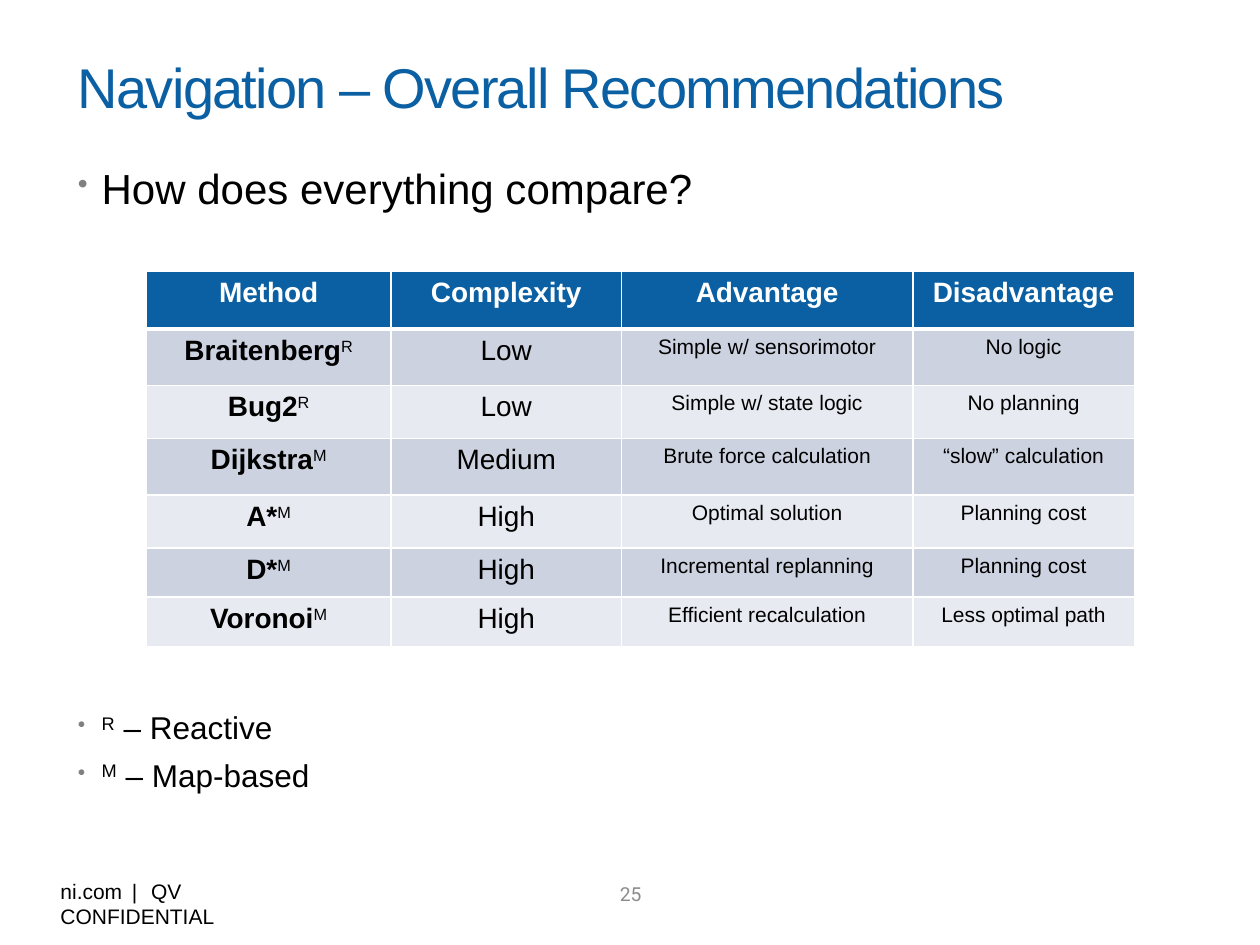
import pptx
import pptx.dml.color
import pptx.enum.text
import pptx.util
from pptx.oxml import parse_xml
from pptx.oxml.ns import nsdecls
from pptx.util import Cm

BLUE, BLACK, WHITE, GREY = "0A60A3", "000000", "FFFFFF", "8C8C8C"
BULLET_GREY = "808080"
BANDS = ("CCD2E0", "E7EAF0")
CENTER = pptx.enum.text.PP_ALIGN.CENTER
MIDDLE = pptx.enum.text.MSO_ANCHOR.MIDDLE


def color(hex_string):
    return pptx.dml.color.RGBColor.from_string(hex_string)


class SlideBuilder:
    font = "Arial"

    def __init__(self, slide):
        self.slide = slide

    def style(self, run, size, hex_color=BLACK, bold=False, font=None,
              spacing=None, raised=False):
        run.font.name = font or self.font
        run.font.size = pptx.util.Pt(size)
        run.font.bold = bold
        run.font.color.rgb = color(hex_color)
        properties = run.font._element
        if spacing:
            properties.set("spc", str(int(spacing * 100)))
        if raised:
            properties.set("baseline", "30000")

    def add_run(self, paragraph, text, size, **options):
        run = paragraph.add_run()
        run.text = text
        self.style(run, size, **options)

    def text_box(self, left, top, width, height, wrap=True, anchor=None):
        box = self.slide.shapes.add_textbox(Cm(left), Cm(top), Cm(width), Cm(height))
        frame = box.text_frame
        frame.word_wrap = wrap
        if anchor is not None:
            frame.vertical_anchor = anchor
        return frame

    def label(self, text, position, size, align=None, **options):
        frame = self.text_box(*position, anchor=MIDDLE)
        frame.text = text
        paragraph = frame.paragraphs[0]
        paragraph.alignment = align
        self.style(paragraph.runs[0], size, **options)

    def bullets(self, items, position, size):
        """Each item is a pair: raised mark (may be empty) and text."""
        frame = self.text_box(*position)
        for index, (mark, text) in enumerate(items):
            paragraph = frame.add_paragraph() if index else frame.paragraphs[0]
            properties = paragraph._p.get_or_add_pPr()
            properties.set("marL", str(Cm(0.48)))
            properties.set("indent", str(-Cm(0.48)))
            for xml in (f'<a:buClr {nsdecls("a")}><a:srgbClr val="{BULLET_GREY}"/></a:buClr>',
                        f'<a:buSzPct {nsdecls("a")} val="70000"/>',
                        f'<a:buChar {nsdecls("a")} char="•"/>'):
                properties.append(parse_xml(xml))
            if index:
                paragraph.space_before = pptx.util.Pt(5.7)
            if mark:
                self.add_run(paragraph, mark, size, raised=True)
            self.add_run(paragraph, text, size)

    def cell_borders(self, cell, top, bottom):
        properties = cell._tc.get_or_add_tcPr()
        for side, points in (("L", 1), ("R", 1), ("T", top), ("B", bottom)):
            properties.append(parse_xml(
                f'<a:ln{side} {nsdecls("a")} w="{pptx.util.Pt(points)}"><a:solidFill>'
                f'<a:srgbClr val="{WHITE}"/></a:solidFill></a:ln{side}>'))

    def table(self, header, rows, left, top, widths, heights):
        table_shape = self.slide.shapes.add_table(
            len(rows) + 1, len(header), Cm(left), Cm(top),
            Cm(sum(widths)), Cm(sum(heights)))
        table = table_shape.table
        for column, width in zip(table.columns, widths):
            column.width = Cm(width)
        for row, height in zip(table.rows, heights):
            row.height = Cm(height)

        for row_index, values in enumerate([header] + rows):
            is_header = row_index == 0
            fill = BLUE if is_header else BANDS[(row_index - 1) % 2]
            for column_index, value in enumerate(values):
                cell = table.cell(row_index, column_index)
                self.cell_borders(cell, top=3 if row_index == 1 else 1,
                                  bottom=3 if is_header else 1)
                cell.fill.solid()
                cell.fill.fore_color.rgb = color(fill)
                paragraph = cell.text_frame.paragraphs[0]
                paragraph.alignment = CENTER
                text, mark = value if isinstance(value, tuple) else (value, "")
                self.add_run(paragraph, text,
                             16 if is_header or column_index < 2 else 12,
                             hex_color=WHITE if is_header else BLACK,
                             bold=is_header or column_index == 0)
                if mark:
                    self.add_run(paragraph, mark, 16, raised=True)

    def footer(self, parts, position, size):
        """Two parts with a widely spaced bar between them."""
        paragraph = self.text_box(*position, wrap=False).paragraphs[0]
        self.add_run(paragraph, parts[0], size)
        self.add_run(paragraph, " | ", size, spacing=2.2)
        self.add_run(paragraph, parts[1], size)


def main():
    presentation = pptx.Presentation()
    presentation.slide_width, presentation.slide_height = Cm(25.4), Cm(19.05)
    builder = SlideBuilder(presentation.slides.add_slide(presentation.slide_layouts[6]))

    # Footer and page number
    builder.label("25", (12.22, 17.63, 0.99, 0.76), 11, CENTER,
                  hex_color=GREY, font="Roboto")
    builder.footer(("ni.com", "QV CONFIDENTIAL"), (0.97, 17.58, 6.02, 0.76), 12)

    # Title and question
    builder.label("Navigation – Overall Recommendations", (1.32, 0.41, 22.68, 2.67), 32,
                  hex_color=BLUE, spacing=-1)
    builder.bullets([("", "How does everything compare?")], (1.32, 3.15, 22.68, 1.3), 24)

    # Comparison of methods
    builder.table(
        ["Method", "Complexity", "Advantage", "Disadvantage"],
        [[("Braitenberg", "R"), "Low", "Simple w/ sensorimotor", "No logic"],
         [("Bug2", "R"), "Low", "Simple w/ state logic", "No planning"],
         [("Dijkstra", "M"), "Medium", "Brute force calculation", "“slow” calculation"],
         [("A*", "M"), "High", "Optimal solution", "Planning cost"],
         [("D*", "M"), "High", "Incremental replanning", "Planning cost"],
         [("Voronoi", "M"), "High", "Efficient recalculation", "Less optimal path"]],
        2.95, 5.46,
        widths=(4.93, 4.65, 5.87, 4.47),
        heights=(1.17, 1.14, 1.07, 1.14, 1.07, 0.99, 0.99))

    # Legend of the raised marks
    builder.bullets([("R", " – Reactive"), ("M", " – Map-based")],
                    (1.32, 14.15, 22.68, 2.1), 18)

    presentation.save("out.pptx")


if __name__ == "__main__":
    main()
